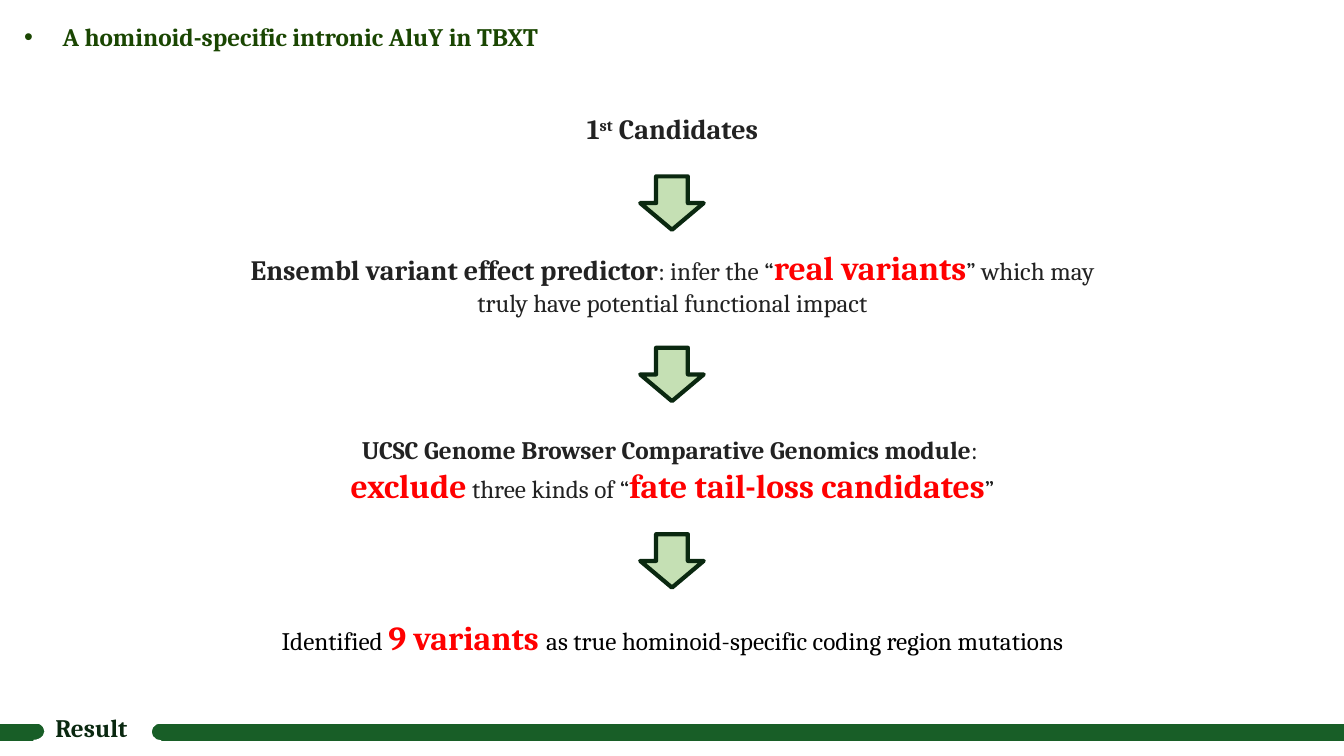
from dataclasses import dataclass

from lxml.etree import SubElement
from pptx import Presentation
from pptx.dml.color import RGBColor
from pptx.enum.shapes import MSO_SHAPE as Shape
from pptx.enum.text import MSO_ANCHOR as Anchor, MSO_AUTO_SIZE as AutoSize, PP_ALIGN as Align
from pptx.oxml.ns import qn
from pptx.util import Emu, Pt

PX = 9144
FONT = "Cambria"
COLORS = {
    "bar": "185E27",
    "dark": "0A2810",
    "heading": "1A4602",
    "body": "222222",
    "black": "000000",
    "accent": "FF0000",
    "arrow": "C5E0B4",
    "white": "FFFFFF",
}


@dataclass(frozen=True)
class Box:
    left: int
    top: int
    width: int
    height: int

    def emu(self) -> tuple:
        return tuple(Emu(n * PX) for n in (self.left, self.top, self.width, self.height))


@dataclass(frozen=True)
class Span:
    text: str
    size: int = 18
    bold: bool = False
    color: str = "body"
    raised: int = 0


@dataclass(frozen=True)
class Step:
    box: Box
    lines: tuple


@dataclass(frozen=True)
class Figure:
    kind: Shape
    box: Box
    fill: str
    line: str = ""
    weight: int = 1
    turn: int = 0


def rgb(name: str) -> RGBColor:
    return RGBColor.from_string(COLORS[name])


def accent(text: str) -> Span:
    return Span(text, 24, True, "accent")


def draw(slide, figure: Figure) -> None:
    shape = slide.shapes.add_shape(figure.kind, *figure.box.emu())
    shape.shadow.inherit = False
    shape.rotation = figure.turn
    shape.fill.solid()
    shape.fill.fore_color.rgb = rgb(figure.fill)
    if figure.line:
        shape.line.color.rgb = rgb(figure.line)
        shape.line.width = Pt(figure.weight)
    else:
        shape.line.fill.background()


def add_bullet(paragraph, indent: int) -> None:
    props = paragraph._p.get_or_add_pPr()
    props.set("marL", str(indent * PX))
    props.set("indent", str(-indent * PX))
    SubElement(props, qn("a:buFont")).set("typeface", "Arial")
    SubElement(props, qn("a:buChar")).set("char", "•")


def write(holder, lines: tuple, *, align=Align.LEFT, bullet_indent: int = 0) -> None:
    frame = holder.text_frame
    frame.word_wrap = True
    frame.auto_size = AutoSize.NONE
    frame.vertical_anchor = Anchor.TOP
    for index, spans in enumerate(lines):
        paragraph = frame.add_paragraph() if index else frame.paragraphs[0]
        if bullet_indent:
            add_bullet(paragraph, bullet_indent)
        paragraph.alignment = align
        paragraph.line_spacing = 1.0
        for span in spans:
            run = paragraph.add_run()
            run.text = span.text
            run.font.name = FONT
            run.font.size = Pt(span.size)
            run.font.bold = span.bold
            run.font.color.rgb = rgb(span.color)
            if span.raised:
                run.font._element.set("baseline", str(span.raised * 1000))


FOOTER = (
    Figure(Shape.RECTANGLE, Box(0, 719, 1333, 15), "bar", "bar"),
    Figure(Shape.BLOCK_ARC, Box(16, 706, 34, 39), "white", turn=90),
    Figure(Shape.BLOCK_ARC, Box(143, 708, 34, 36), "white", turn=270),
    Figure(Shape.RECTANGLE, Box(45, 714, 104, 25), "white"),
)

STEPS = (
    Step(Box(439, 106, 456, 44), (
        (Span("1", 20, True), Span("st", 20, True, raised=30), Span(" Candidates", 20, True)),
    )),
    Step(Box(224, 240, 886, 81), (
        (
            Span("Ensembl variant effect predictor", 20, True),
            Span(": infer the “"),
            accent("real variants"),
            Span("” which may truly have potential functional impact"),
        ),
    )),
    Step(Box(224, 426, 886, 81), (
        (Span("UCSC Genome Browser Comparative Genomics module", bold=True), Span(": ")),
        (
            accent("exclude"),
            Span(" three kinds of “"),
            accent("fate tail-loss candidates"),
            Span("”"),
        ),
    )),
    Step(Box(197, 607, 940, 50), (
        (
            Span("Identified ", color="black"),
            accent("9 variants "),
            Span("as true hominoid-specific coding region mutations", color="black"),
        ),
    )),
)

ARROW_TOPS = (175, 345, 530)


def main() -> None:
    deck = Presentation()
    deck.slide_width, deck.slide_height = Emu(1333 * PX), Emu(750 * PX)
    slide = deck.slides.add_slide(deck.slide_layouts[5])

    heading = slide.shapes.title
    heading.left, heading.top, heading.width, heading.height = Box(14, 16, 719, 40).emu()
    heading_span = Span("A hominoid-specific intronic AluY in TBXT", 18, True, "heading")
    write(heading, ((heading_span,),), bullet_indent=38)

    for part in FOOTER:
        draw(slide, part)
    section = slide.shapes.add_textbox(*Box(45, 702, 110, 40).emu())
    write(section, ((Span("Result", 18, True, "dark"),),))

    for step in STEPS:
        write(slide.shapes.add_textbox(*step.box.emu()), step.lines, align=Align.CENTER)
    for top in ARROW_TOPS:
        draw(slide, Figure(Shape.DOWN_ARROW, Box(635, top, 63, 53), "arrow", "dark", 3))

    deck.save("out.pptx")


if __name__ == "__main__":
    main()
